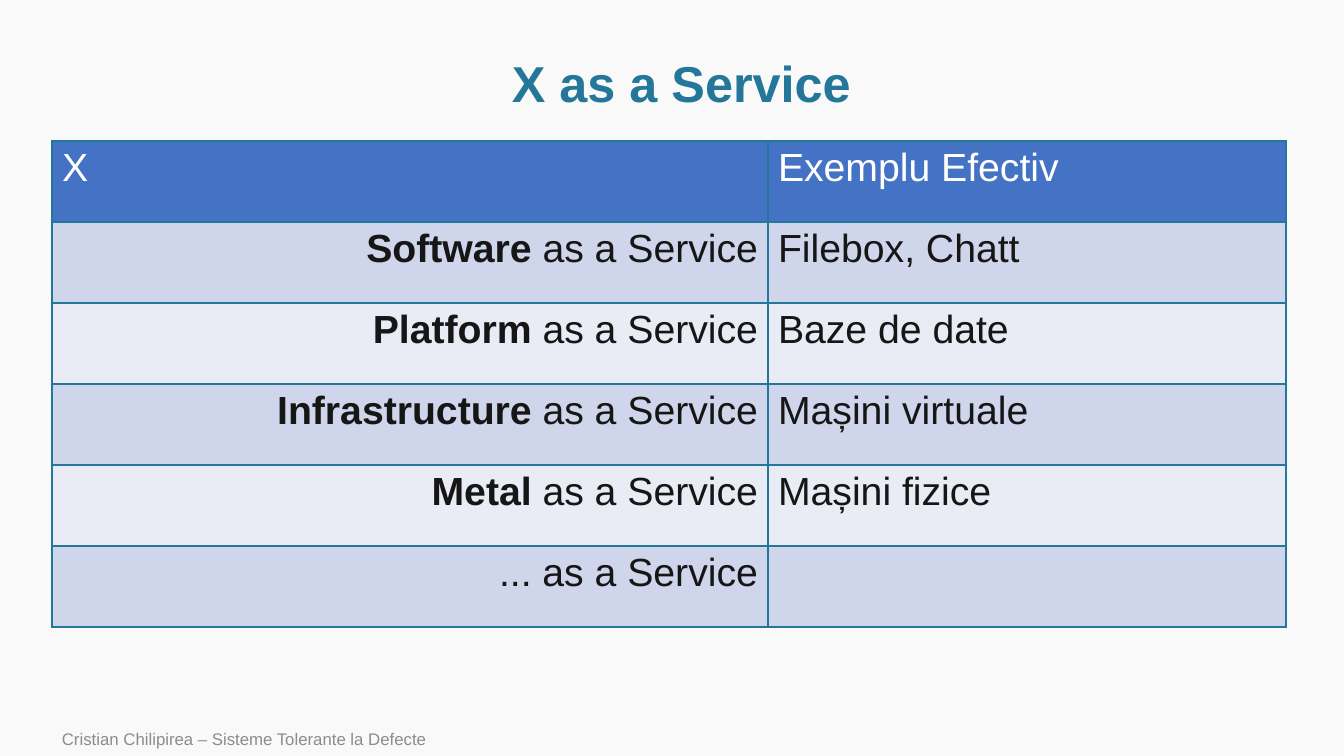
from lxml import etree
from pptx import Presentation
from pptx import util as u
from pptx.dml.color import RGBColor
from pptx.enum import text
from pptx.oxml.ns import qn

# Content: each row is (bold word, rest of the name, example)
TITLE = "X as a Service"
FOOTER = "Cristian Chilipirea – Sisteme Tolerante la Defecte"
ROWS = [
    ("", "X", "Exemplu Efectiv"),
    ("Software", " as a Service", "Filebox, Chatt"),
    ("Platform", " as a Service", "Baze de date"),
    ("Infrastructure", " as a Service", "Mașini virtuale"),
    ("Metal", " as a Service", "Mașini fizice"),
    ("", "... as a Service", ""),
]
COL_WIDTHS = (716, 518)
ROW_HEIGHT = 81
TEAL, HEADER, INK, WHITE, GREY = "247798", "4472C4", "171616", "FFFFFF", "8C8C8C"
BANDS = ("E9EBF5", "CFD5EA")
LEFT, CENTER, RIGHT = (text.PP_ALIGN.LEFT, text.PP_ALIGN.CENTER,
                       text.PP_ALIGN.RIGHT)


def px(n):
    return round(n * 914400 / 100.8)


def rgb(color):
    return RGBColor.from_string(color)


def add_text(p, content, size=28, color=INK, bold=False, align=LEFT):
    p.alignment = align
    r = p.add_run()
    r.text = content
    r.font.name = "Arial"
    r.font.size = u.Pt(size)
    r.font.bold = bold
    r.font.color.rgb = rgb(color)


def add_borders(cell, color, width=1):
    tcPr = cell._tc.get_or_add_tcPr()
    for side in ("lnL", "lnR", "lnT", "lnB"):
        ln = etree.SubElement(tcPr, qn("a:" + side), w=str(u.Pt(width)))
        fill = etree.SubElement(ln, qn("a:solidFill"))
        etree.SubElement(fill, qn("a:srgbClr"), val=color)


prs = Presentation()
prs.slide_width, prs.slide_height = px(1344), px(756)
s = prs.slides.add_slide(prs.slide_layouts[5])
s.background.fill.solid()
s.background.fill.fore_color.rgb = rgb("F9F9F9")

# Title
title = s.shapes.title
title.left, title.top, title.width, title.height = map(px, (102, 51, 1159, 70))
tf = title.text_frame
tf.vertical_anchor = text.MSO_ANCHOR.MIDDLE
tf.paragraphs[0].line_spacing = 0.9
add_text(tf.paragraphs[0], TITLE, size=36, color=TEAL, bold=True, align=CENTER)

# Table of services
table = s.shapes.add_table(
    len(ROWS), len(COL_WIDTHS), px(52), px(141),
    px(sum(COL_WIDTHS)), px(ROW_HEIGHT * len(ROWS))).table
for column, width in zip(table.columns, COL_WIDTHS):
    column.width = px(width)
for i, (word, rest, example) in enumerate(ROWS):
    table.rows[i].height = px(ROW_HEIGHT)
    ink = INK if i else WHITE
    for cell in table.rows[i].cells:
        add_borders(cell, TEAL)
        cell.fill.solid()
        cell.fill.fore_color.rgb = rgb(BANDS[i % 2] if i else HEADER)
    name, sample = (c.text_frame.paragraphs[0] for c in table.rows[i].cells)
    align = RIGHT if i else LEFT
    if word:
        add_text(name, word, color=ink, bold=True, align=align)
    add_text(name, rest, color=ink, align=align)
    if example:
        add_text(sample, example, color=ink)

# Footer
tf = s.shapes.add_textbox(*map(px, (52, 722, 847, 34))).text_frame
tf.word_wrap = True
tf.vertical_anchor = text.MSO_ANCHOR.MIDDLE
add_text(tf.paragraphs[0], FOOTER, size=12, color=GREY)

prs.save("out.pptx")
